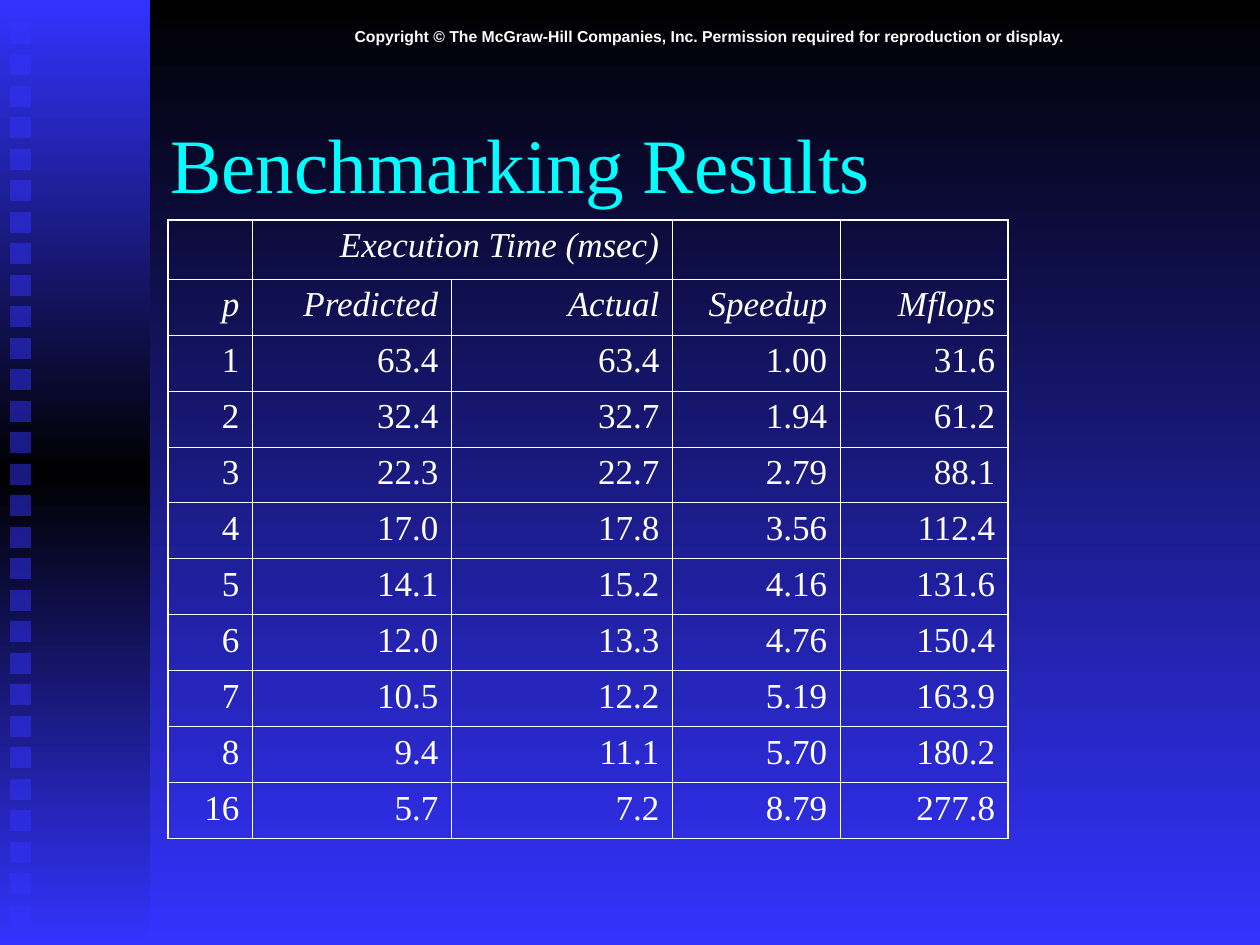
from copy import deepcopy
from dataclasses import dataclass

from lxml import etree
from pptx import Presentation
from pptx.dml.color import RGBColor
from pptx.enum.shapes import MSO_SHAPE
from pptx.enum.text import MSO_ANCHOR, MSO_AUTO_SIZE, PP_ALIGN
from pptx.oxml.ns import qn
from pptx.util import Emu, Pt

RECT = MSO_SHAPE.RECTANGLE
MIDDLE = MSO_ANCHOR.MIDDLE
NO_FIT = MSO_AUTO_SIZE.NONE
LEFT, CENTER, RIGHT = PP_ALIGN.LEFT, PP_ALIGN.CENTER, PP_ALIGN.RIGHT
SCALE = 914400 // 126


@dataclass(frozen=True)
class Theme:
    dark: str = "000000"
    blue: str = "3333FF"
    cyan: str = "00FFFF"
    white: str = "FFFFFF"
    serif: str = "Times New Roman"
    sans: str = "Arial"
    title: int = 44
    cell: int = 20
    note: int = 9
    outer: float = 1.08
    inner: float = 0.45


THEME = Theme()
NOTE = ("Copyright © The McGraw-Hill Companies, Inc. "
        "Permission required for reproduction or display.")
COLS = [84, 199, 221, 168, 168]
ROWS = [59] + [56] * 10
HEADS = 2
DATA = [
    ["", "Execution Time (msec)", "", "", ""],
    ["p", "Predicted", "Actual", "Speedup", "Mflops"],
    ["1", "63.4", "63.4", "1.00", "31.6"],
    ["2", "32.4", "32.7", "1.94", "61.2"],
    ["3", "22.3", "22.7", "2.79", "88.1"],
    ["4", "17.0", "17.8", "3.56", "112.4"],
    ["5", "14.1", "15.2", "4.16", "131.6"],
    ["6", "12.0", "13.3", "4.76", "150.4"],
    ["7", "10.5", "12.2", "5.19", "163.9"],
    ["8", "9.4", "11.1", "5.70", "180.2"],
    ["16", "5.7", "7.2", "8.79", "277.8"],
]


def px(num):
    return Emu(num * SCALE)


def box(*sides):
    return [px(side) for side in sides]


def rgb(code):
    return RGBColor.from_string(code)


def fade(fill, *codes):
    """Fill from top to bottom through evenly spaced colours."""
    fill.gradient()
    fill.gradient_angle = 270
    first = fill.gradient_stops[0].element
    for _ in codes[2:]:
        first.addnext(deepcopy(first))
    for i, (stop, code) in enumerate(zip(fill.gradient_stops, codes)):
        stop.position = i / (len(codes) - 1)
        stop.color.rgb = rgb(code)


def style(frame, text, size, face, code, align, bold=False, slant=False):
    frame.text = text
    para = frame.paragraphs[0]
    para.alignment = align
    for run in para.runs:
        font = run.font
        font.size, font.name = Pt(size), face
        font.bold, font.italic = bold, slant
        font.color.rgb = rgb(code)


def add_rect(slide, *sides):
    rect = slide.shapes.add_shape(RECT, *box(*sides))
    rect.shadow.inherit = False
    rect.line.fill.background()
    return rect


def add_band(slide):
    band = add_rect(slide, 0, 0, 150, 945)
    fade(band.fill, THEME.blue, THEME.dark, THEME.blue)
    for i in range(29):
        tile = add_rect(slide, 10, 23 + i * 63 // 2, 21, 21)
        tile.fill.solid()
        tile.fill.fore_color.rgb = rgb(THEME.blue)
        color = tile.element.spPr.find(".//" + qn("a:srgbClr"))
        etree.SubElement(color, qn("a:alpha"), val="50000")


def add_note(slide):
    note = slide.shapes.add_textbox(*box(158, 21, 1102, 31))
    note.text_frame.word_wrap = True
    style(note.text_frame, NOTE, THEME.note, THEME.sans, THEME.white,
          CENTER, bold=True)


def set_title(slide):
    title = slide.shapes.title
    title.left, title.top, title.width, title.height = box(158, 84, 1071, 158)
    frame = title.text_frame
    style(frame, "Benchmarking Results", THEME.title, THEME.serif,
          THEME.cyan, LEFT)
    frame.vertical_anchor = MIDDLE
    frame.auto_size = NO_FIT


def rule(cell, row, col):
    """Draw the cell's borders, heavier on the table's outer edge."""
    edges = {"L": col == 0, "R": col == len(COLS) - 1,
             "T": row == 0, "B": row == len(ROWS) - 1}
    props = cell._tc.get_or_add_tcPr()
    for side, edge in edges.items():
        width = Pt(THEME.outer if edge else THEME.inner)
        line = etree.SubElement(props, qn("a:ln" + side), w=str(width))
        fill = etree.SubElement(line, qn("a:solidFill"))
        etree.SubElement(fill, qn("a:srgbClr"), val=THEME.white)


def add_grid(slide):
    shape = slide.shapes.add_table(
        len(ROWS), len(COLS), *box(168, 220, sum(COLS), sum(ROWS)))
    table = shape.table
    table.first_row = table.horz_banding = False
    for col, width in zip(table.columns, COLS):
        col.width = px(width)
    for row, height in zip(table.rows, ROWS):
        row.height = px(height)
    for r, texts in enumerate(DATA):
        for c, text in enumerate(texts):
            cell = table.cell(r, c)
            rule(cell, r, c)
            cell.fill.background()
            style(cell.text_frame, text, THEME.cell, THEME.serif,
                  THEME.white, RIGHT, slant=r < HEADS)
    table.cell(0, 1).merge(table.cell(0, 2))


def main():
    deck = Presentation()
    deck.slide_width, deck.slide_height = box(1260, 945)
    slide = deck.slides.add_slide(deck.slide_layouts[5])
    fade(slide.background.fill, THEME.dark, THEME.blue)
    add_band(slide)
    add_note(slide)
    set_title(slide)
    add_grid(slide)
    deck.save("out.pptx")


if __name__ == "__main__":
    main()
